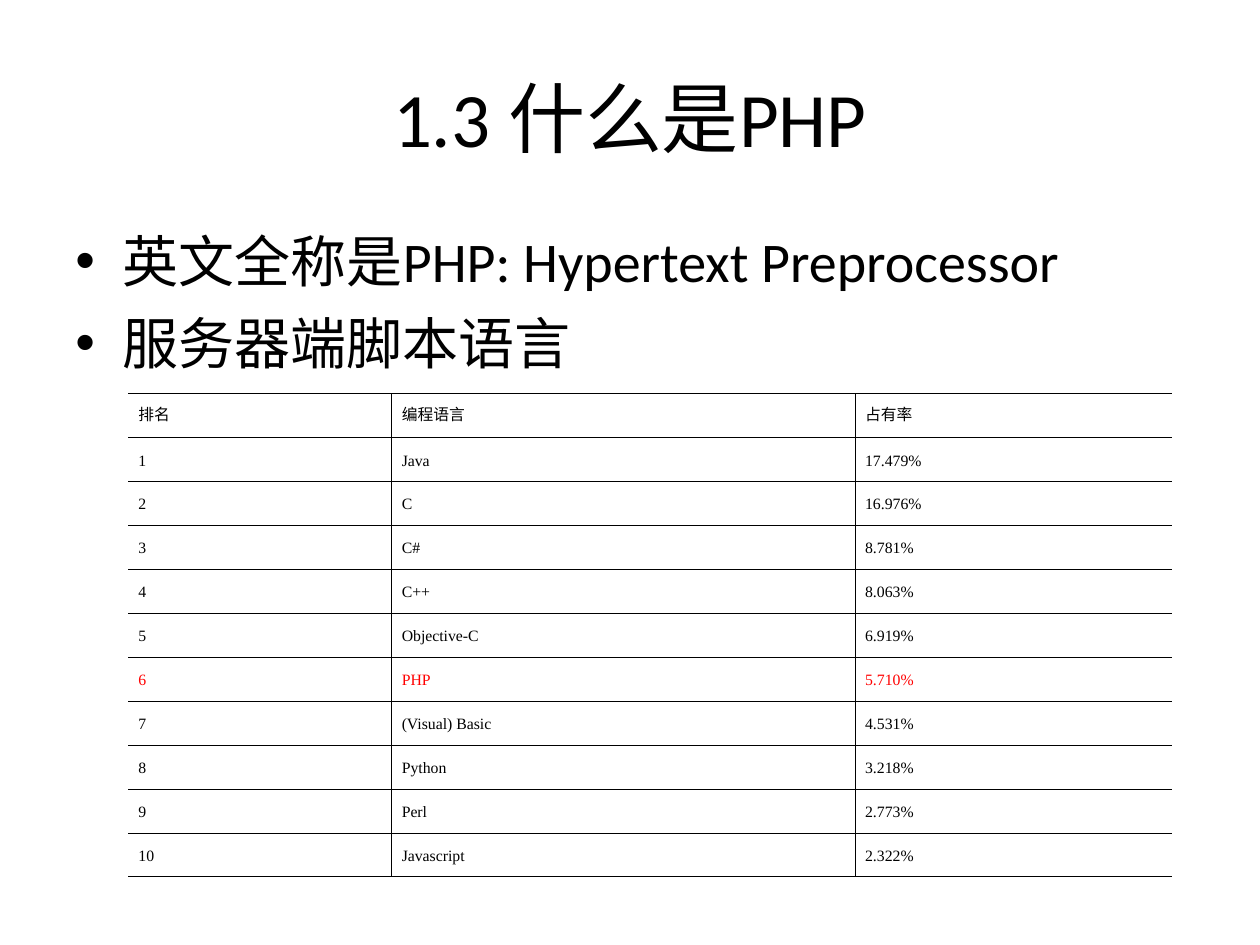
from lxml.etree import SubElement
from pptx import Presentation
from pptx.dml.color import RGBColor
from pptx.enum.text import MSO_ANCHOR as Anchor, PP_ALIGN as Align
from pptx.oxml.ns import qn
from pptx.util import Cm, Pt

BLACK = RGBColor(0x00, 0x00, 0x00)
RED = RGBColor(0xFF, 0x00, 0x00)

HEADINGS = ("排名", "编程语言", "占有率")
LANGUAGES = [
    ("Java", "17.479%"),
    ("C", "16.976%"),
    ("C#", "8.781%"),
    ("C++", "8.063%"),
    ("Objective-C", "6.919%"),
    ("PHP", "5.710%"),
    ("(Visual) Basic", "4.531%"),
    ("Python", "3.218%"),
    ("Perl", "2.773%"),
    ("Javascript", "2.322%"),
]


class SlideWriter:
    """Holds the style and the slide being filled."""

    text_font = "Calibri"
    table_font = "Times New Roman"
    outer_line, inner_line = Pt(0.75), Pt(0.45)

    def __init__(self, slide):
        self.slide = slide

    def style(self, paragraph, font_name, size, color=BLACK):
        for run in paragraph.runs:
            run.font.name = font_name
            run.font.size = Pt(size)
            run.font.color.rgb = color

    def text_frame(self, left, top, width, height):
        box = self.slide.shapes.add_textbox(Cm(left), Cm(top), Cm(width), Cm(height))
        box.text_frame.word_wrap = True
        return box.text_frame

    def title(self, wording, *place):
        frame = self.text_frame(*place)
        frame.vertical_anchor = Anchor.MIDDLE
        heading = frame.paragraphs[0]
        heading.text = wording
        heading.alignment = Align.CENTER
        self.style(heading, self.text_font, 44)

    def bullets(self, points, *place):
        frame = self.text_frame(*place)
        frame.text = "\n".join(points)
        for index, point in enumerate(frame.paragraphs):
            properties = point._p.get_or_add_pPr()
            properties.set("marL", str(Cm(0.95)))
            properties.set("indent", str(Cm(-0.95)))
            SubElement(properties, qn("a:buFont"), typeface="Arial")
            SubElement(properties, qn("a:buChar"), char="•")
            point.space_before = Pt(8 if index else 0)
            self.style(point, self.text_font, 32)

    def border(self, cell, side, width):
        properties = cell._tc.get_or_add_tcPr()
        line = SubElement(properties, qn(f"a:ln{side}"), w=str(width))
        if width:
            fill = SubElement(line, qn("a:solidFill"))
            SubElement(fill, qn("a:srgbClr"), val=str(BLACK))
        else:
            SubElement(line, qn("a:noFill"))

    def cell(self, cell, wording, color, borders):
        cell.margin_left = cell.margin_right = Cm(0.2)
        cell.margin_top = cell.margin_bottom = Cm(0.13)
        cell.vertical_anchor = Anchor.MIDDLE
        for side, width in borders.items():
            self.border(cell, side, width)
        cell.fill.background()
        entry = cell.text_frame.paragraphs[0]
        entry.text = wording
        entry.line_spacing = Pt(11)
        self.style(entry, self.table_font, 9, color)

    def table(self, rows, widths, left, top, height, highlight):
        frame = self.slide.shapes.add_table(
            len(rows), len(widths), Cm(left), Cm(top), Cm(sum(widths)), Cm(height))
        table = frame.table
        table.first_row = table.horz_banding = False
        for column, width in zip(table.columns, widths):
            column.width = Cm(width)
        last_row, last_column = len(rows) - 1, len(widths) - 1
        for r, row in enumerate(rows):
            table.rows[r].height = Cm(height / len(rows))
            for c, wording in enumerate(row):
                # Ruled inside, heavier at top and bottom, open at the sides
                borders = {
                    "L": self.inner_line if c > 0 else 0,
                    "R": self.inner_line if c < last_column else 0,
                    "T": self.inner_line if r > 0 else self.outer_line,
                    "B": self.inner_line if r < last_row else self.outer_line,
                }
                color = RED if highlight in row else BLACK
                self.cell(table.cell(r, c), wording, color, borders)


def main():
    deck = Presentation()
    deck.slide_width, deck.slide_height = Cm(25.4), Cm(19.05)
    writer = SlideWriter(deck.slides.add_slide(deck.slide_layouts[6]))

    # Heading and key points
    writer.title("1.3 什么是PHP", 1.27, 0.76, 22.86, 3.18)
    writer.bullets(
        ["英文全称是PHP: Hypertext Preprocessor", "服务器端脚本语言"],
        1.27, 4.45, 22.86, 3.89)

    # Language ranking, ranks counted from the order
    ranking = [(str(rank), *entry) for rank, entry in enumerate(LANGUAGES, 1)]
    writer.table([HEADINGS, *ranking], (5.31, 9.34, 6.38),
                 left=2.59, top=7.94, height=9.74, highlight="PHP")

    deck.save("out.pptx")


if __name__ == "__main__":
    main()
